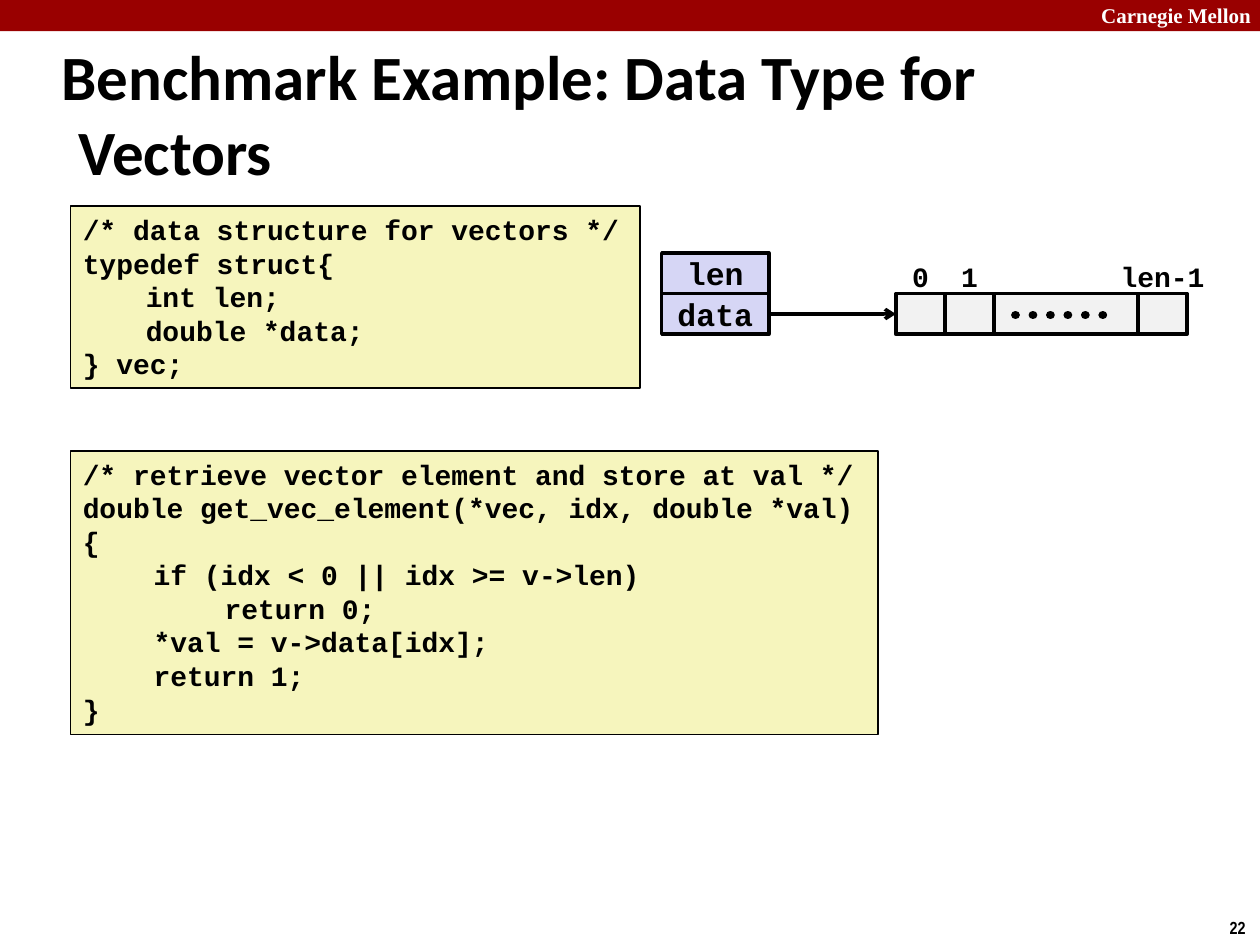
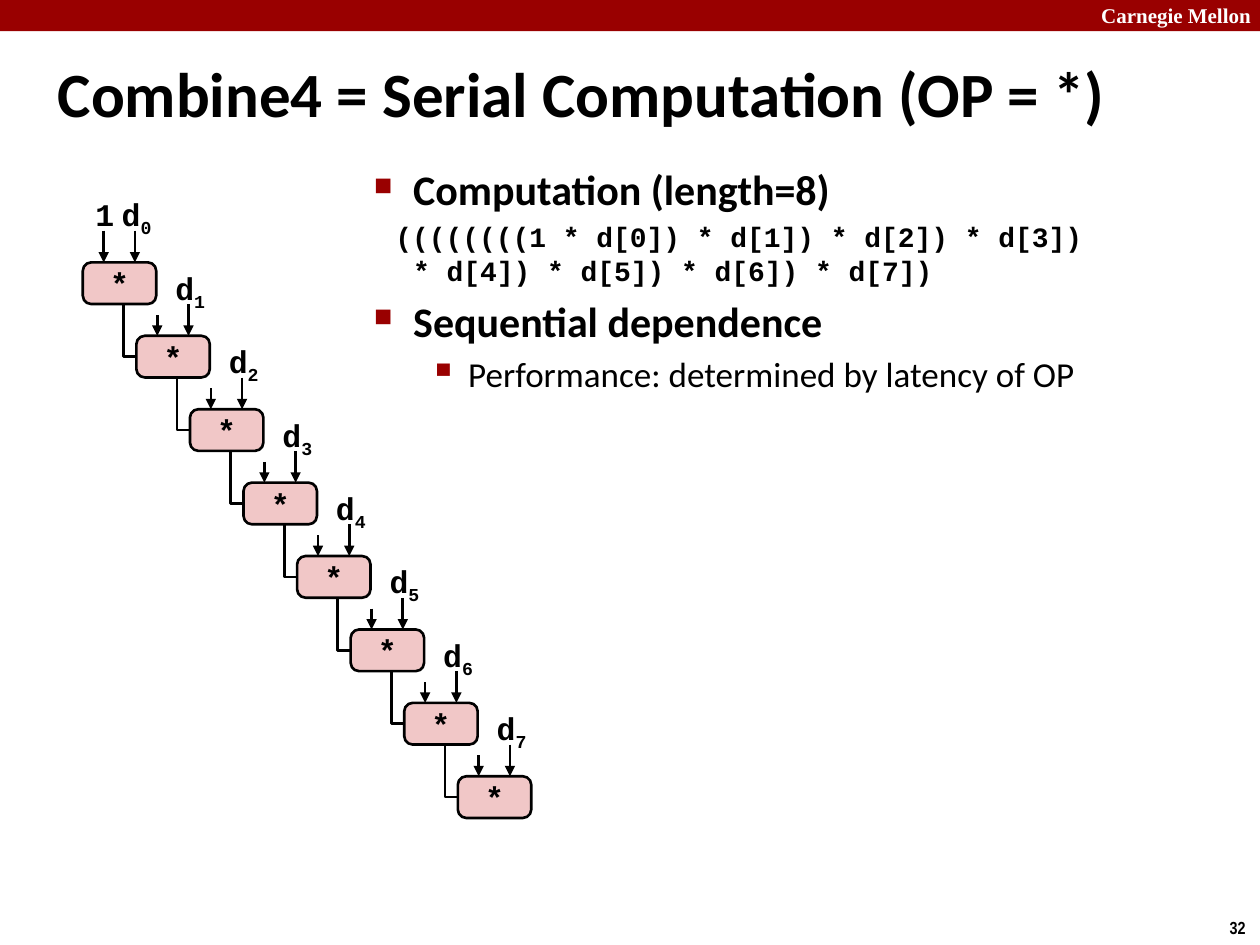
from dataclasses import dataclass

from lxml import etree
from pptx import Presentation
from pptx.dml.color import RGBColor
from pptx.enum.dml import MSO_LINE
from pptx.enum.shapes import MSO_CONNECTOR, MSO_SHAPE
from pptx.enum.text import MSO_ANCHOR, MSO_AUTO_SIZE, PP_ALIGN
from pptx.oxml.ns import qn
from pptx.util import Cm, Pt

RECTANGLE = MSO_SHAPE.RECTANGLE
ROUNDED = MSO_SHAPE.ROUNDED_RECTANGLE
STRAIGHT = MSO_CONNECTOR.STRAIGHT
DOTTED = MSO_LINE.ROUND_DOT
TOP, MIDDLE = MSO_ANCHOR.TOP, MSO_ANCHOR.MIDDLE
LEFT, CENTER = PP_ALIGN.LEFT, PP_ALIGN.CENTER
LEFT_SIDE, RIGHT_SIDE = 1, 3
TITLE_ONLY = 5


@dataclass(frozen=True)
class Theme:
    black: str = "000000"
    white: str = "FFFFFF"
    red: str = "990000"
    code_fill: str = "F6F5BD"
    field_fill: str = "D6D6F5"
    cell_fill: str = "F2F2F2"
    operator_fill: str = "F1C7C7"
    body_font: str = "Calibri"
    code_font: str = "Courier New"
    title_size: int = 36
    heading_size: int = 24
    point_size: int = 20
    node_size: int = 18
    code_size: int = 16

    def font(self, size, name=None, bold=True, color=None):
        return {"format": {"size": Pt(size), "name": name or self.body_font, "bold": bold},
                "color": color or self.black}

    def code(self, size=None):
        return self.font(size or self.code_size, self.code_font)


THEME = Theme()


def add_element(parent, tag, **attributes):
    return etree.SubElement(parent, qn(tag), attributes)


def apply(target, values):
    for name, value in values.items():
        setattr(target, name, value)


def box(left, top, width, height):
    return [Cm(length) for length in (left, top, width, height)]


class Deck:
    def __init__(self, theme):
        self.theme = theme
        self.presentation = Presentation()
        self.presentation.slide_width = Cm(25.4)
        self.presentation.slide_height = Cm(19.05)
        self.slide = None

    def start_slide(self, title, title_box, number):
        theme = self.theme
        layout = self.presentation.slide_layouts[TITLE_ONLY]
        self.slide = self.presentation.slides.add_slide(layout)
        self.shape(RECTANGLE, (0, 0, 25.4, 0.63), theme.red)
        self.text((21.95, -0.08, 3.63, 0.76), "Carnegie Mellon",
                  theme.font(12, "Times New Roman", color=theme.white))
        self.text((24.54, 18.36, 0.86, 0.69), number, theme.font(10, "Arial Narrow"))
        placeholder = self.slide.shapes.title
        apply(placeholder, dict(zip(("left", "top", "width", "height"), box(*title_box))))
        self.fill_frame(placeholder, MIDDLE)
        self.paragraph(placeholder, title, theme.font(theme.title_size), indent=(0.33, -0.33))

    def fill_frame(self, shape, anchor=TOP, wrap=True, inset=None):
        frame = shape.text_frame
        apply(frame, {"auto_size": MSO_AUTO_SIZE.NONE, "word_wrap": wrap,
                      "vertical_anchor": anchor})
        if inset is not None:
            apply(frame, {f"margin_{side}": Cm(inset)
                          for side in ("left", "top", "right", "bottom")})

    def paragraph(self, shape, text, font, align=LEFT, indent=None, before=0,
                  bullet=None, tab=None, subscript=""):
        """Write into the empty first paragraph, or else into a new one."""
        frame = shape.text_frame
        paragraph = frame.paragraphs[0] if not frame.text else frame.add_paragraph()
        apply(paragraph, {"alignment": align, "space_before": Pt(before)})
        properties = paragraph._p.get_or_add_pPr()
        if indent:
            for name, length in zip(("marL", "indent"), indent):
                properties.set(name, str(Cm(length)))
        if bullet:
            character, percent = bullet
            color = add_element(properties, "a:buClr")
            add_element(color, "a:srgbClr", val=self.theme.red)
            add_element(properties, "a:buSzPct", val=str(percent * 1000))
            add_element(properties, "a:buChar", char=character)
        if tab:
            tabs = add_element(properties, "a:tabLst")
            for count in (1, 2):
                add_element(tabs, "a:tab", pos=str(Cm(tab * count)), algn="l")
        # A line break inside the text becomes a:br
        paragraph.text = text.replace("\n", "\v")
        if subscript:
            paragraph.add_run().text = subscript
            paragraph.runs[-1].font._element.set("baseline", "-25000")
        for run in paragraph.runs:
            apply(run.font, font["format"])
            run.font.color.rgb = RGBColor.from_string(font["color"])

    def text(self, place, text, font, align=LEFT, inset=None, subscript=""):
        shape = self.slide.shapes.add_textbox(*box(*place))
        self.fill_frame(shape, wrap=align == LEFT, inset=inset)
        self.paragraph(shape, text, font, align, subscript=subscript)

    def outline(self, line, width):
        line.color.rgb = RGBColor.from_string(self.theme.black)
        line.width = Pt(width)

    def shape(self, kind, place, fill, line_width=None, label=None):
        shape = self.slide.shapes.add_shape(kind, *box(*place))
        shape.shadow.inherit = False
        shape.fill.solid()
        shape.fill.fore_color.rgb = RGBColor.from_string(fill)
        if line_width:
            self.outline(shape.line, line_width)
        else:
            shape.line.fill.background()
        if label:
            self.fill_frame(shape, MIDDLE, wrap=False)
            self.paragraph(shape, label, self.theme.code(self.theme.node_size), CENTER)
        return shape

    def code_block(self, place, code, tab):
        block = self.shape(RECTANGLE, place, self.theme.code_fill, 1)
        self.fill_frame(block)
        for line in code.splitlines():
            self.paragraph(block, line, self.theme.code(), tab=tab)

    def line(self, start, end, width, head=None):
        points = [Cm(length) for length in (*start, *end)]
        connector = self.slide.shapes.add_connector(STRAIGHT, *points)
        self.outline(connector.line, width)
        add_element(connector._element.spPr, "a:effectLst")
        if head:
            add_element(connector.line._get_or_add_ln(), "a:tailEnd", type=head)
        return connector

    def dots(self, start, end):
        connector = self.line(start, end, 5)
        connector.line.dash_style = DOTTED
        connector.line._get_or_add_ln().set("cap", "rnd")

    def elbow(self, left, top, right, bottom):
        builder = self.slide.shapes.build_freeform(Cm(left), Cm(top))
        builder.add_line_segments([(Cm(left), Cm(bottom)), (Cm(right), Cm(bottom))], close=False)
        shape = builder.convert_to_shape()
        shape.shadow.inherit = False
        shape.fill.background()
        self.outline(shape.line, 1.5)


STRUCT_CODE = """/* data structure for vectors */
typedef struct{
\tint len;
\tdouble *data;
} vec;"""

GETTER_CODE = """/* retrieve vector element and store at val */
double get_vec_element(*vec, idx, double *val)
{
\tif (idx < 0 || idx >= v->len)
\t\treturn 0;
\t*val = v->data[idx];
\treturn 1;
}"""


def vector_slide(deck):
    theme = deck.theme
    deck.start_slide("Benchmark Example: Data Type for Vectors", (0.99, 1.22, 21.08, 2.11), "22")
    deck.code_block((1.42, 4.16, 11.48, 3.66), STRUCT_CODE, 1.27)
    deck.code_block((1.42, 9.09, 16.28, 5.72), GETTER_CODE, 1.43)

    row_top, row_height = 5.92, 0.82
    for position, name in enumerate(("len", "data")):
        top = row_top - row_height * (1 - position)
        data_field = deck.shape(RECTANGLE, (13.34, top, 2.16, row_height),
                                theme.field_fill, 2, name)

    left, cells = 18.06, []
    for width, index in ((0.99, "0"), (0.99, "1"), (2.9, None), (0.99, "len-1")):
        cells.append(deck.shape(RECTANGLE, (left, row_top, width, row_height),
                                theme.cell_fill, 2))
        if index:
            deck.text((left + width / 2 - 1.12, 5.11, 2.24, 0.94), index, theme.code(), CENTER)
        left += width

    middle = row_top + row_height / 2
    pointer = deck.line((15.5, middle), (18.06, middle), 2, "arrow")
    pointer.begin_connect(data_field, RIGHT_SIDE)
    pointer.end_connect(cells[0], LEFT_SIDE)
    deck.dots((20.47, middle + 0.02), (22.5, middle + 0.02))


def serial_slide(deck):
    theme = deck.theme
    deck.start_slide("Combine4 = Serial Computation (OP = *)", (0.91, 0.79, 24.08, 2.16), "32")

    body = deck.slide.shapes.add_textbox(*box(7.29, 3.18, 17.68, 4.65))
    deck.fill_frame(body)
    heading = {"font": theme.font(theme.heading_size), "indent": (0.79, -0.79),
               "bullet": ("■", 60)}
    deck.paragraph(body, "Computation (length=8)", **heading)
    deck.paragraph(body, "((((((((1 * d[0]) * d[1]) * d[2]) * d[3])\n* d[4]) * d[5]) * d[6]) * d[7])",
                   theme.code(), indent=(0.79, -0.36), before=3.2)
    deck.paragraph(body, "Sequential dependence", before=4.8, **heading)
    deck.paragraph(body, "Performance: determined by latency of OP",
                   theme.font(theme.point_size, bold=False), indent=(1.9, -0.79),
                   before=4, bullet=("▪", 110))

    first_left, first_top = 1.67, 5.29
    step_x, step_y = 1.08, 1.48
    width, height = 1.48, 0.84
    label = theme.code(theme.node_size)
    deck.text((first_left + 0.13, first_top - step_y, 0.63, 1.02), "1", label, CENTER, 0.13)
    for index in range(8):
        left, top = first_left + index * step_x, first_top + index * step_y
        deck.shape(ROUNDED, (left, top, width, height),
                   theme.operator_fill, 1.5, "*").adjustments[0] = 0.2
        for offset, length in ((0.42, 0.42 if index else 0.64), (1.05, 0.64)):
            deck.line((left + offset, top - length), (left + offset, top), 1.5, "triangle")
        deck.text((left + 0.64, top - step_y, 0.89, 1.02), "d", label, CENTER, 0.13,
                  subscript=str(index))
        if index:
            deck.elbow(left - step_x + 0.82, top - step_y + height, left, top + height / 2)


def main():
    deck = Deck(THEME)
    vector_slide(deck)
    serial_slide(deck)
    deck.presentation.save("out.pptx")


if __name__ == "__main__":
    main()
